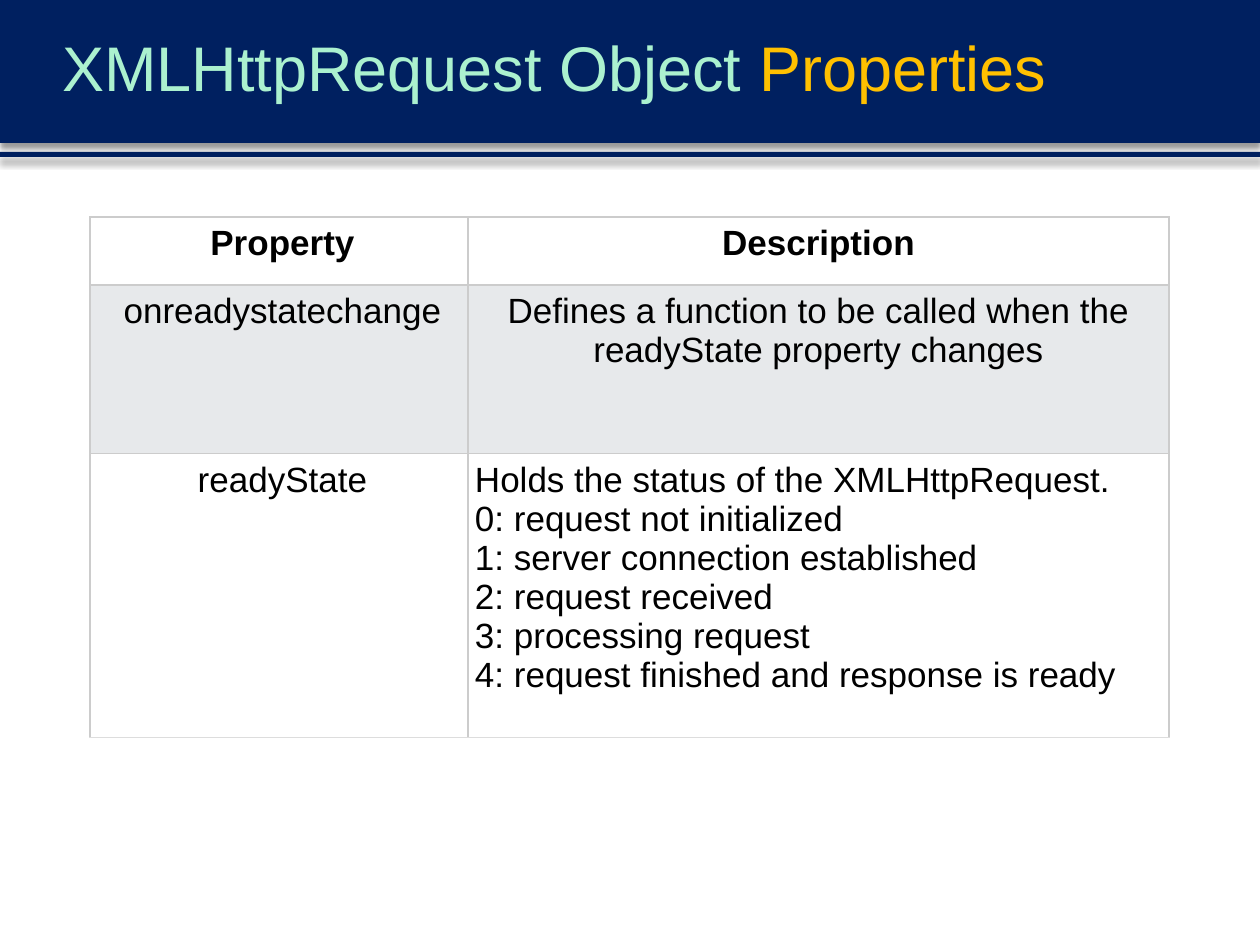
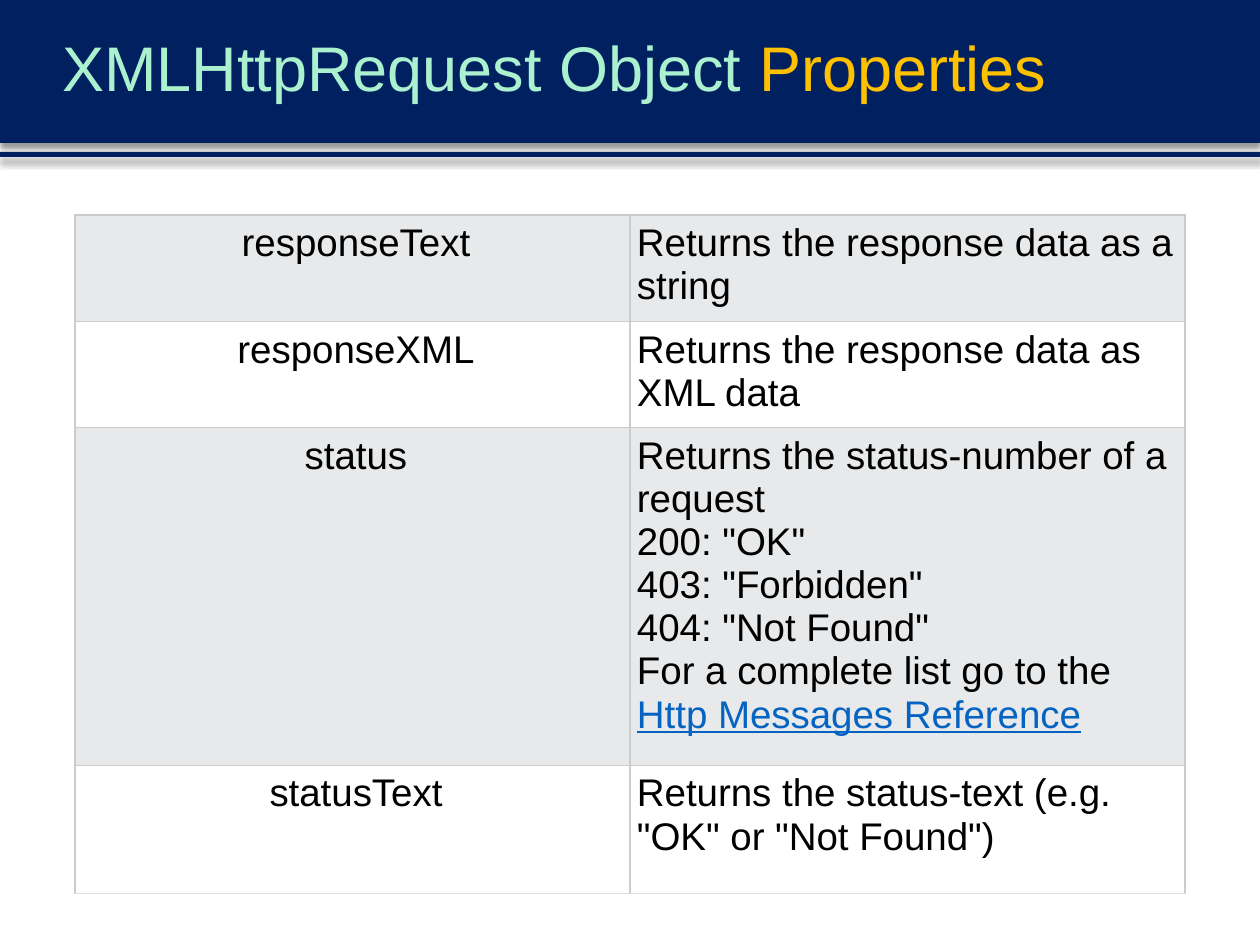
from dataclasses import dataclass

from lxml import etree
from pptx import Presentation
from pptx import util as u
from pptx.dml.color import RGBColor
from pptx.enum import shapes, text
from pptx.oxml import ns

PX = 914400 / 126  # EMU in one px
SLIDE_WIDTH, SLIDE_HEIGHT = 1260, 945
BAND_HEIGHT = 143
FONT = "Arial"
COLORS = {
    "navy": "002060",
    "mint": "ABF1CF",
    "gold": "FFC000",
    "black": "000000",
    "white": "FFFFFF",
    "stripe": "E7E9EB",
    "link": "0563C1",
    "grid": "CCCCCC",
    "grid_end": "DDDDDD",
}


@dataclass(frozen=True)
class Run:
    text: str
    color: str = "black"
    bold: bool = False
    underline: bool = False


@dataclass(frozen=True)
class Cell:
    runs: tuple[Run, ...]
    centered: bool = False


@dataclass(frozen=True)
class Row:
    height: int
    fill: str
    name: Cell
    description: Cell


@dataclass(frozen=True)
class PropertyTable:
    left: int
    top: int
    columns: tuple[int, int]
    font_size: int
    rows: tuple[Row, ...]


def px(length: int) -> u.Emu:
    return u.Emu(round(length * PX))


def rgb(name: str) -> RGBColor:
    return RGBColor.from_string(COLORS[name])


def centered(label: str, bold: bool = False) -> Cell:
    return Cell((Run(label, bold=bold),), centered=True)


def plain(*runs: Run) -> Cell:
    return Cell(runs)


TITLE = (Run("XMLHttpRequest Object ", "mint"), Run("Properties", "gold"))

TABLES = (
    PropertyTable(90, 217, (378, 701), 20, (
        Row(68, "white", centered("Property", True), centered("Description", True)),
        Row(169, "stripe", centered("onreadystatechange"),
            centered("Defines a function to be called when the readyState property changes")),
        Row(284, "white", centered("readyState"), plain(Run(
            "Holds the status of the XMLHttpRequest.\n"
            "0: request not initialized\n"
            "1: server connection established\n"
            "2: request received\n"
            "3: processing request\n"
            "4: request finished and response is ready"))),
    )),
    PropertyTable(75, 215, (555, 555), 22, (
        Row(101, "stripe", centered("responseText"),
            plain(Run("Returns the response data as a string"))),
        Row(101, "white", centered("responseXML"),
            plain(Run("Returns the response data as XML data"))),
        Row(315, "stripe", centered("status"), plain(
            Run("Returns the status-number of a request\n"
                '200: "OK"\n'
                '403: "Forbidden"\n'
                '404: "Not Found"\n'
                "For a complete list go to the "),
            Run("Http Messages Reference", "link", underline=True))),
        Row(128, "white", centered("statusText"),
            plain(Run('Returns the status-text (e.g. "OK" or "Not Found")'))),
    )),
)


def add_runs(paragraph, runs: tuple[Run, ...], size: int) -> None:
    for item in runs:
        for index, line in enumerate(item.text.split("\n")):
            if index:
                paragraph.add_line_break()
            run = paragraph.add_run()
            run.text = line
            run.font.name = FONT
            run.font.size = u.Pt(size)
            run.font.bold = item.bold
            run.font.underline = item.underline
            run.font.color.rgb = rgb(item.color)


def add_band(slide, top: int, height: int) -> None:
    shape = slide.shapes.add_shape(
        shapes.MSO_SHAPE.RECTANGLE, 0, px(top), px(SLIDE_WIDTH), px(height))
    shape.fill.solid()
    shape.fill.fore_color.rgb = rgb("navy")
    shape.line.fill.background()
    # Soft shadow straight below the band
    shape.shadow.inherit = False
    effects = shape._element.spPr.find(ns.qn("a:effectLst"))
    shadow = etree.SubElement(
        effects, ns.qn("a:outerShdw"), blurRad=str(u.Pt(4)), dist=str(u.Pt(3)),
        dir="5400000", algn="t", rotWithShape="0")
    color = etree.SubElement(shadow, ns.qn("a:srgbClr"), val=COLORS["black"])
    etree.SubElement(color, ns.qn("a:alpha"), val="40000")


def add_header(slide) -> None:
    add_band(slide, 0, BAND_HEIGHT)
    add_band(slide, 152, 5)
    frame = slide.shapes.add_textbox(
        px(50), 0, px(SLIDE_WIDTH - 50), px(BAND_HEIGHT)).text_frame
    frame.word_wrap = True
    frame.vertical_anchor = text.MSO_ANCHOR.MIDDLE
    paragraph = frame.paragraphs[0]
    paragraph.line_spacing = 0.9
    add_runs(paragraph, TITLE, 36)


def set_borders(cell, bottom: str) -> None:
    properties = cell._tc.get_or_add_tcPr()
    sides = {"lnL": "grid", "lnR": "grid", "lnT": "grid", "lnB": bottom}
    for side, color in sides.items():
        line = etree.SubElement(properties, ns.qn(f"a:{side}"), w=str(u.Pt(0.75)))
        fill = etree.SubElement(line, ns.qn("a:solidFill"))
        etree.SubElement(fill, ns.qn("a:srgbClr"), val=COLORS[color])


def fill_cell(cell, content: Cell, fill: str, left_margin: int, size: int, bottom: str) -> None:
    set_borders(cell, bottom)
    cell.fill.solid()
    cell.fill.fore_color.rgb = rgb(fill)
    cell.margin_left = px(left_margin)
    cell.margin_top = cell.margin_right = cell.margin_bottom = px(7)
    paragraph = cell.text_frame.paragraphs[0]
    paragraph.alignment = text.PP_ALIGN.CENTER if content.centered else text.PP_ALIGN.LEFT
    add_runs(paragraph, content.runs, size)


def add_property_table(slide, layout: PropertyTable) -> None:
    height = sum(row.height for row in layout.rows)
    table = slide.shapes.add_table(
        len(layout.rows), len(layout.columns), px(layout.left), px(layout.top),
        px(sum(layout.columns)), px(height)).table
    table.first_row = table.horz_banding = False
    for column, width in zip(table.columns, layout.columns):
        column.width = px(width)
    for index, row in enumerate(layout.rows):
        table.rows[index].height = px(row.height)
        bottom = "grid_end" if row is layout.rows[-1] else "grid"
        fill_cell(table.cell(index, 0), row.name, row.fill, 14, layout.font_size, bottom)
        fill_cell(table.cell(index, 1), row.description, row.fill, 7, layout.font_size, bottom)


def main() -> None:
    presentation = Presentation()
    presentation.slide_width = px(SLIDE_WIDTH)
    presentation.slide_height = px(SLIDE_HEIGHT)
    for layout in TABLES:
        slide = presentation.slides.add_slide(presentation.slide_layouts[6])
        add_header(slide)
        add_property_table(slide, layout)
    presentation.save("out.pptx")


if __name__ == "__main__":
    main()
